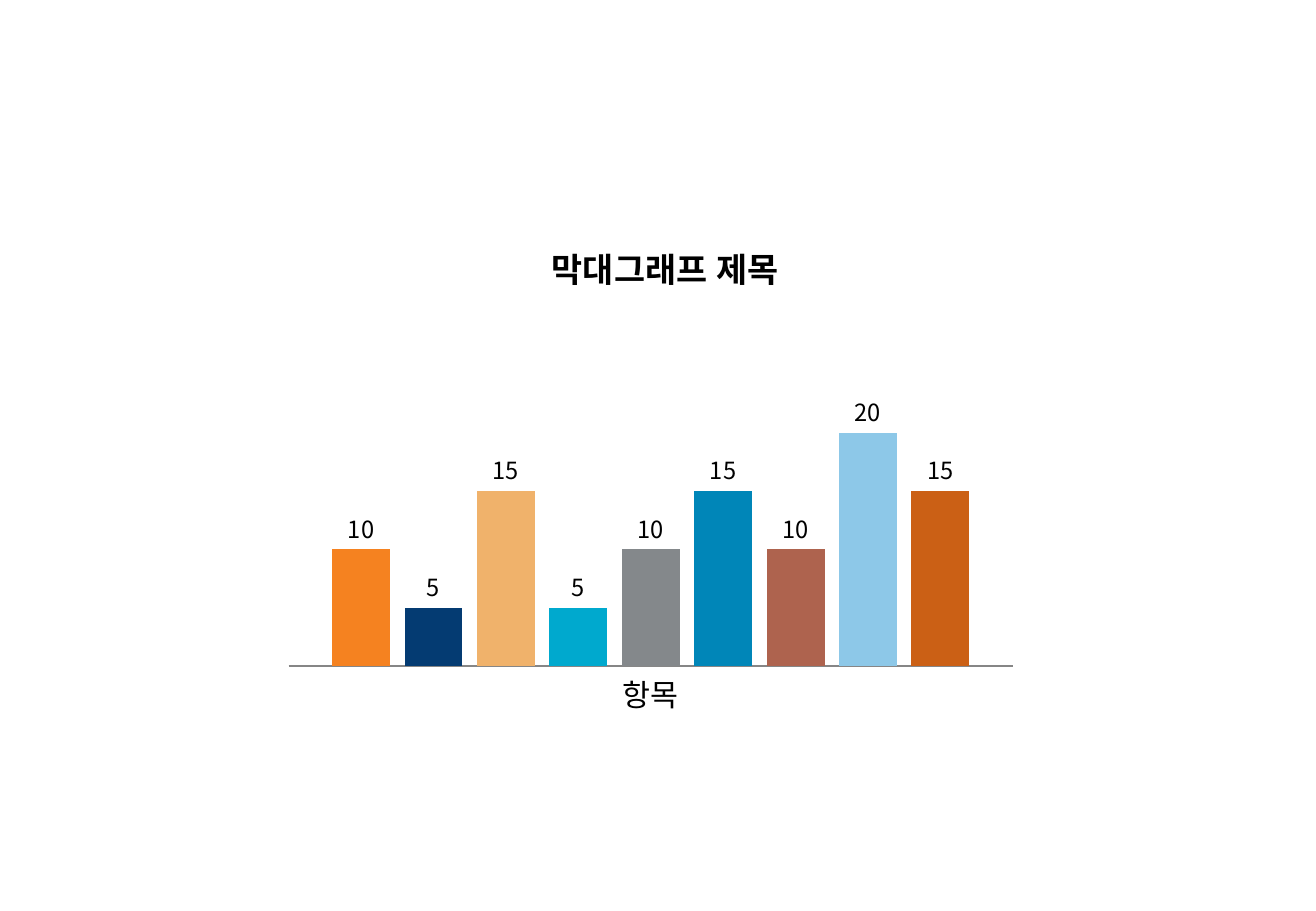
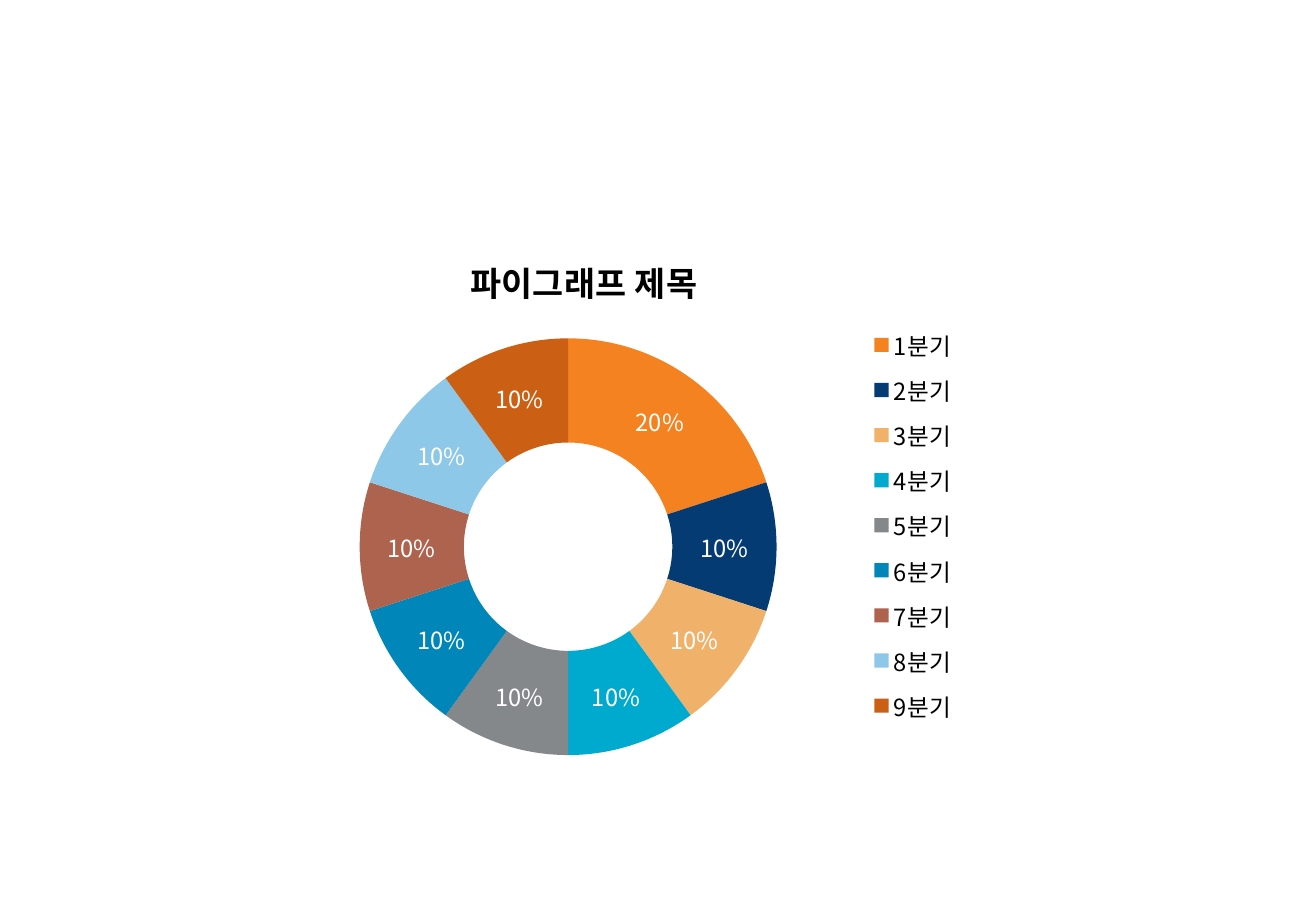
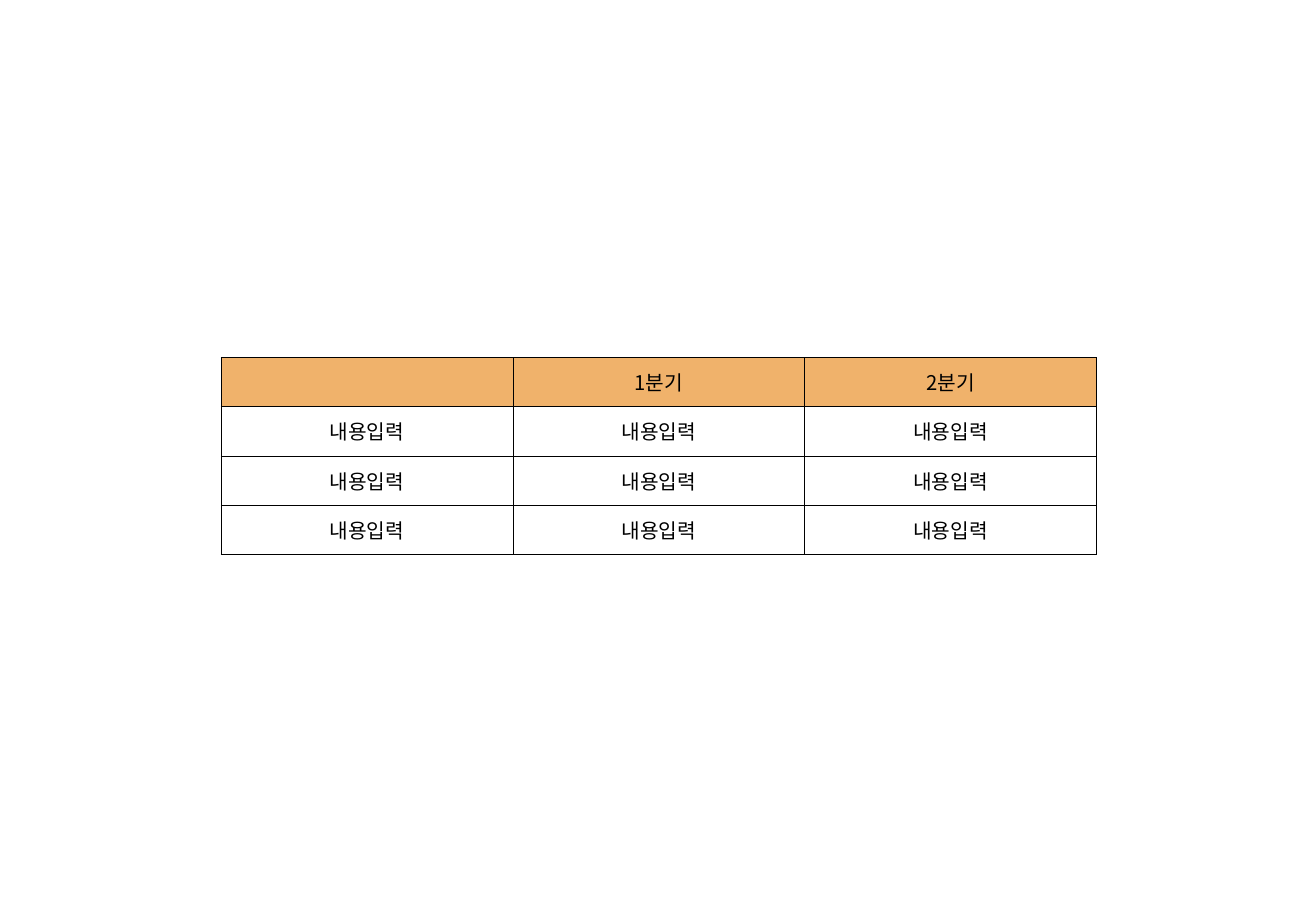
from lxml import etree
from pptx import Presentation, oxml
from pptx import util as u
from pptx.chart import data as chart_data
from pptx.dml import color as dml
from pptx.enum import chart as kinds, text
from pptx.oxml import ns

FONT = "Noto Sans CJK KR"
BLACK, WHITE, AXIS_GREY = "000000", "FFFFFF", "868686"
PALETTE = ["F58220", "043B72", "F0B26B", "00A9CE", "84888B",
           "0086B8", "AE634E", "8DC8E8", "CB6015"]


def style_font(font, size, colour=BLACK, bold=False):
    font.name, font.size, font.bold = FONT, u.Pt(size), bold
    font.color.rgb = dml.RGBColor.from_string(colour)


def place(part, **fractions):
    """Pin a chart part at fractions (x, y, w, h) of the chart area."""
    for old in part.findall(ns.qn("c:layout")):
        part.remove(old)
    is_plot = part.tag == ns.qn("c:plotArea")
    layout = oxml.parse_xml(f'<c:layout {ns.nsdecls("c")}><c:manualLayout/></c:layout>')
    settings = {"layoutTarget": "inner"} if is_plot else {}
    settings |= {"xMode": "edge", "yMode": "edge"} | fractions
    for name, value in settings.items():
        etree.SubElement(layout[0], ns.qn(f"c:{name}")).set("val", str(value))
    part.insert(0 if is_plot else 1, layout)


deck = Presentation()
deck.slide_width, deck.slide_height = u.Cm(27.51), u.Cm(19.05)
blank = deck.slide_layouts[6]

# Charts
bar_data = chart_data.CategoryChartData()
bar_data.categories = ["항목"]
for number, value in enumerate([10, 5, 15, 5, 10, 15, 10, 20, 15], 1):
    bar_data.add_series(f"계열 {number}", [value])

ring_data = chart_data.CategoryChartData()
ring_data.categories = [f"{quarter}분기" for quarter in range(1, 10)]
ring_data.add_series("Series 1", [20] + [10] * 8)

chart_slides = [
    (kinds.XL_CHART_TYPE.COLUMN_CLUSTERED, bar_data, (5.72, 4.67, 15.77, 10.52),
     "막대그래프 제목", {"x": 0.36, "y": 0.02},
     {"x": 0.02, "y": 0.3, "w": 0.96, "h": 0.58}, BLACK),
    (kinds.XL_CHART_TYPE.DOUGHNUT, ring_data, (4.67, 4.95, 16.76, 11.18),
     "파이그래프 제목", {"x": 0.3, "y": 0.02},
     {"x": 0.17, "y": 0.19, "w": 0.52, "h": 0.78}, WHITE),
]
charts = []
for kind, values, frame, title, title_spot, plot_spot, label_colour in chart_slides:
    page = deck.slides.add_slide(blank)
    chart = page.shapes.add_chart(kind, *map(u.Cm, frame), values).chart
    style_font(chart.font, 18)
    chart.has_legend = False
    chart.has_title = True
    chart.chart_title.include_in_layout = False
    para = chart.chart_title.text_frame.paragraphs[0]
    para.text = title
    style_font(para.font, 20, bold=True)
    place(chart.chart_title._element, **title_spot)
    place(chart._chartSpace.chart.plotArea, **plot_spot)
    plot = chart.plots[0]
    plot.has_data_labels = True
    style_font(plot.data_labels.font, 14, label_colour)
    charts.append(chart)

bar_chart, ring_chart = charts

bars = bar_chart.plots[0]
bars.gap_width, bars.overlap, bars.vary_by_categories = 150, -25, False
bars.data_labels.show_value = True
bars.data_labels.position = kinds.XL_LABEL_POSITION.OUTSIDE_END
for series, colour in zip(bars.series, PALETTE):
    series.format.fill.solid()
    series.format.fill.fore_color.rgb = dml.RGBColor.from_string(colour)
value_axis, category_axis = bar_chart.value_axis, bar_chart.category_axis
value_axis.minimum_scale, value_axis.maximum_scale = 0, 25
value_axis.has_major_gridlines = False
value_axis.visible = False
category_axis.major_tick_mark = kinds.XL_TICK_MARK.NONE
category_axis.format.line.width = u.Pt(1)
category_axis.format.line.color.rgb = dml.RGBColor.from_string(AXIS_GREY)
style_font(category_axis.tick_labels.font, 18)

ring = ring_chart.plots[0]
ring.vary_by_categories = True
ring.data_labels.show_value = False
ring.data_labels.show_percentage = True
ring.data_labels.number_format = "0%"
ring.data_labels.number_format_is_linked = False
for index, colour in enumerate(PALETTE):
    segment = ring.series[0].points[index].format
    segment.fill.solid()
    segment.fill.fore_color.rgb = dml.RGBColor.from_string(colour)
    segment.line.fill.background()
ring_chart.has_legend = True
legend = ring_chart.legend
legend.position = kinds.XL_LEGEND_POSITION.RIGHT
legend.include_in_layout = False
style_font(legend.font, 14)
place(legend._element, x=0.8, y=0.15, w=0.12, h=0.78)

# Table
rows = [["", "1분기", "2분기"]] + [["내용입력"] * 3] * 3
page = deck.slides.add_slide(blank)
frame = page.shapes.add_table(4, 3, u.Cm(4.62), u.Cm(7.47), u.Cm(18.3), u.Cm(4.12))
table = frame.table
for row_index, row in enumerate(rows):
    for column_index, words in enumerate(row):
        cell = table.cell(row_index, column_index)
        cell.margin_left = cell.margin_right = cell.margin_top = cell.margin_bottom = 0
        cell.vertical_anchor = text.MSO_ANCHOR.MIDDLE
        for side in "LRTB":
            cell._tc.tcPr.append(oxml.parse_xml(
                f'<a:ln{side} {ns.nsdecls("a")} w="{u.Pt(0.25)}"><a:solidFill>'
                f'<a:srgbClr val="{BLACK}"/></a:solidFill></a:ln{side}>'))
        cell.fill.solid()
        cell.fill.fore_color.rgb = dml.RGBColor.from_string(WHITE if row_index else PALETTE[2])
        para = cell.text_frame.paragraphs[0]
        para.text = words
        para.alignment = text.PP_ALIGN.CENTER
        style_font(para.font, 12)

# Korean text takes its typeface from the East Asian font setting
for root in [bar_chart._chartSpace, ring_chart._chartSpace, frame._element]:
    for latin in list(root.iter(ns.qn("a:latin"))):
        latin.addnext(oxml.parse_xml(f'<a:ea {ns.nsdecls("a")} typeface="{FONT}"/>'))

deck.save("out.pptx")
